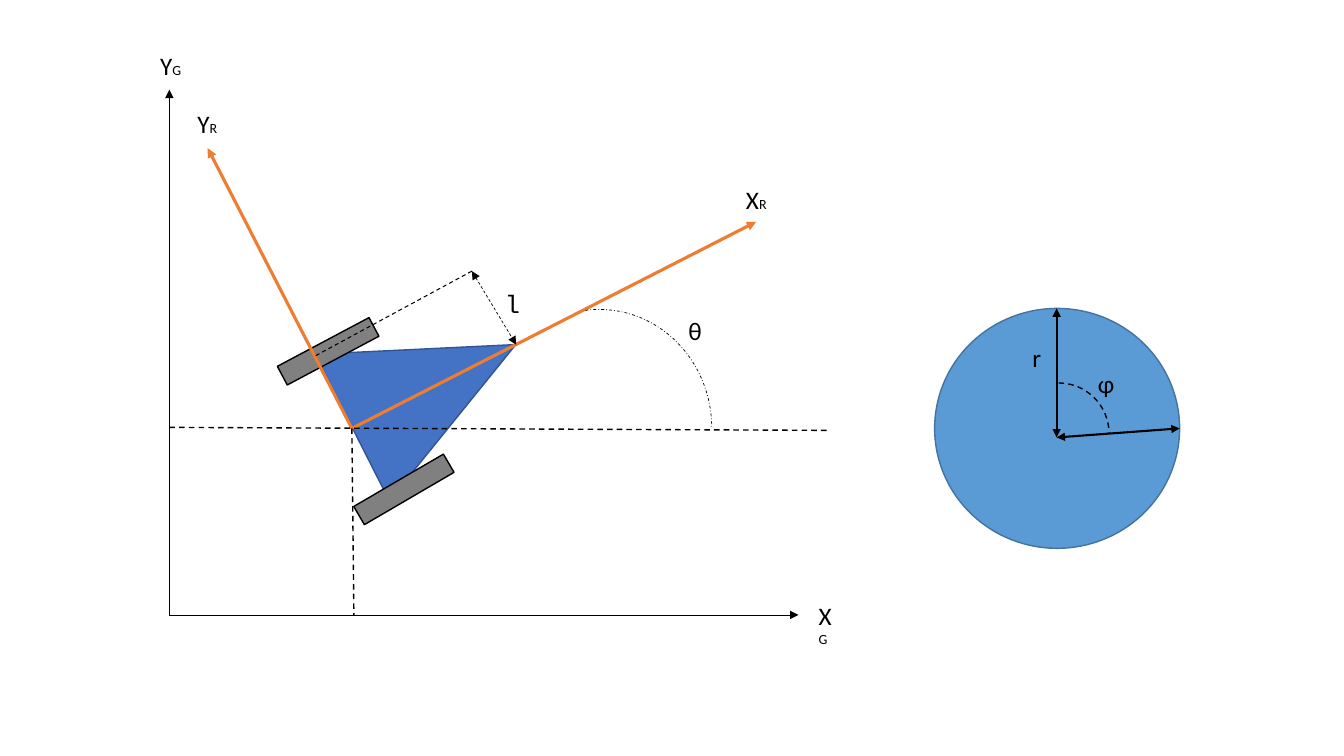
import lxml.etree
import pptx
import pptx.dml.color
import pptx.enum.dml
import pptx.enum.shapes
import pptx.enum.text
import pptx.oxml.ns
import pptx.util
from pptx.util import Inches

SHAPE = pptx.enum.shapes.MSO_SHAPE
DASH = pptx.enum.dml.MSO_LINE.DASH
DASH_DOT = pptx.enum.dml.MSO_LINE.DASH_DOT
BLACK, ORANGE, GREY = "000000", "ED7D31", "808080"


def color(hex_code):
    """Turn a hex string into a colour."""
    return pptx.dml.color.RGBColor.from_string(hex_code)


def style_line(line, hex_code, width, dash=None):
    """Set the colour, width in points and dash of a line."""
    line.color.rgb = color(hex_code)
    line.width = pptx.util.Pt(width)
    if dash is not None:
        line.dash_style = dash


def add_segment(slide, start, end, width, hex_code=BLACK, dash=None, heads=()):
    """Draw a straight line with arrowheads at the ends named in heads."""
    segment = slide.shapes.add_connector(
        pptx.enum.shapes.MSO_CONNECTOR.STRAIGHT,
        *(Inches(value) for value in (*start, *end)))
    style_line(segment.line, hex_code, width, dash)
    properties = segment.element.spPr
    outline = properties.find(pptx.oxml.ns.qn("a:ln"))
    for tag in heads:
        lxml.etree.SubElement(outline, pptx.oxml.ns.qn(f"a:{tag}"), type="triangle")
    lxml.etree.SubElement(properties, pptx.oxml.ns.qn("a:effectLst"))


def add_figure(slide, kind, box, fill=None, outline=BLACK, width=1,
               dash=None, rotation=0, start_angle=None):
    """Draw a preset shape; start_angle in degrees applies to arcs."""
    figure = slide.shapes.add_shape(kind, *(Inches(value) for value in box))
    figure.shadow.inherit = False
    figure.rotation = rotation
    if start_angle is not None:
        figure.adjustments[0] = start_angle * 0.6
    if fill:
        figure.fill.solid()
        figure.fill.fore_color.rgb = color(fill)
    else:
        figure.fill.background()
    style_line(figure.line, outline, width, dash)


def add_label(slide, left, top, width, symbol, subscript="", font="Calibri", wrap=False):
    """Write a symbol, with a smaller index letter if one is given."""
    box = slide.shapes.add_textbox(Inches(left), Inches(top), Inches(width), Inches(0.4))
    frame = box.text_frame
    frame.word_wrap = wrap
    frame.auto_size = pptx.enum.text.MSO_AUTO_SIZE.SHAPE_TO_FIT_TEXT
    for text, size in ((symbol, 18), (subscript, 10)):
        if text:
            run = frame.paragraphs[0].add_run()
            run.text = text
            run.font.name = font
            run.font.size = pptx.util.Pt(size)
            run.font.color.rgb = color(BLACK)


def draw_robot(slide):
    """Draw the robot body, its wheels, the frames and the heading angle."""
    center = (3.49, 4.25)
    add_figure(slide, SHAPE.ISOSCELES_TRIANGLE, (3.49, 2.92, 1.63, 1.82),
               "4472C4", "325491", rotation=63.1)
    for left, top, rotation in ((2.74, 3.38, 332), (3.49, 4.75, 149.7)):
        add_figure(slide, SHAPE.RECTANGLE, (left, top, 1.03, 0.21), GREY, rotation=rotation)

    add_segment(slide, (1.69, 6.1), (7.92, 6.1), 0.5, heads=["tailEnd"])
    add_segment(slide, (1.68, 6.11), (1.68, 0.89), 0.5, heads=["tailEnd"])
    for tip in ((7.5, 2.2), (2.06, 1.47)):
        add_segment(slide, center, tip, 2.25, ORANGE, heads=["tailEnd"])
    add_segment(slide, (1.68, 4.24), (8.23, 4.27), 1, dash=DASH)
    add_figure(slide, SHAPE.ARC, (4.83, 3.07, 2.23, 2.35), width=0.5,
               dash=DASH_DOT, start_angle=263.29)

    add_label(slide, 6.73, 3.08, 0.34, "θ")
    for left, top, axis, frame in ((7.3, 1.78, "X", "R"), (1.86, 1.03, "Y", "R"),
                                   (8.02, 5.91, "X", "G"), (1.49, 0.45, "Y", "G")):
        add_label(slide, left, top, 0.41, axis, frame)

    add_segment(slide, center, (3.51, 6.1), 1, dash=DASH)
    offset_corner = (4.68, 2.69)
    add_segment(slide, offset_corner, (3.11, 3.54), 0.75, dash=DASH)
    add_segment(slide, offset_corner, (5.12, 3.42), 0.5, dash=DASH,
                heads=["headEnd", "tailEnd"])
    add_label(slide, 4.91, 2.81, 0.26, "l", font="Courier New")


def draw_wheel(slide):
    """Draw the wheel from the side with its radius and turning angle."""
    hub = (10.48, 4.34)
    add_figure(slide, SHAPE.OVAL, (9.27, 3.06, 2.43, 2.38), "5B9BD5", "43739E")
    for start, end in (((10.48, 3.06), hub), (hub, (11.7, 4.25))):
        add_segment(slide, start, end, 1.5, heads=["headEnd", "tailEnd"])
    add_figure(slide, SHAPE.ARC, (10, 3.8, 1, 1), dash=DASH)
    add_label(slide, 10.14, 3.35, 0.29, "r")
    add_label(slide, 10.79, 3.61, 0.41, "φ", wrap=True)


def main():
    """Build the slide and save it."""
    deck = pptx.Presentation()
    deck.slide_width, deck.slide_height = Inches(13.33), Inches(7.5)
    slide = deck.slides.add_slide(deck.slide_layouts[6])
    draw_robot(slide)
    draw_wheel(slide)
    deck.save("out.pptx")


main()
